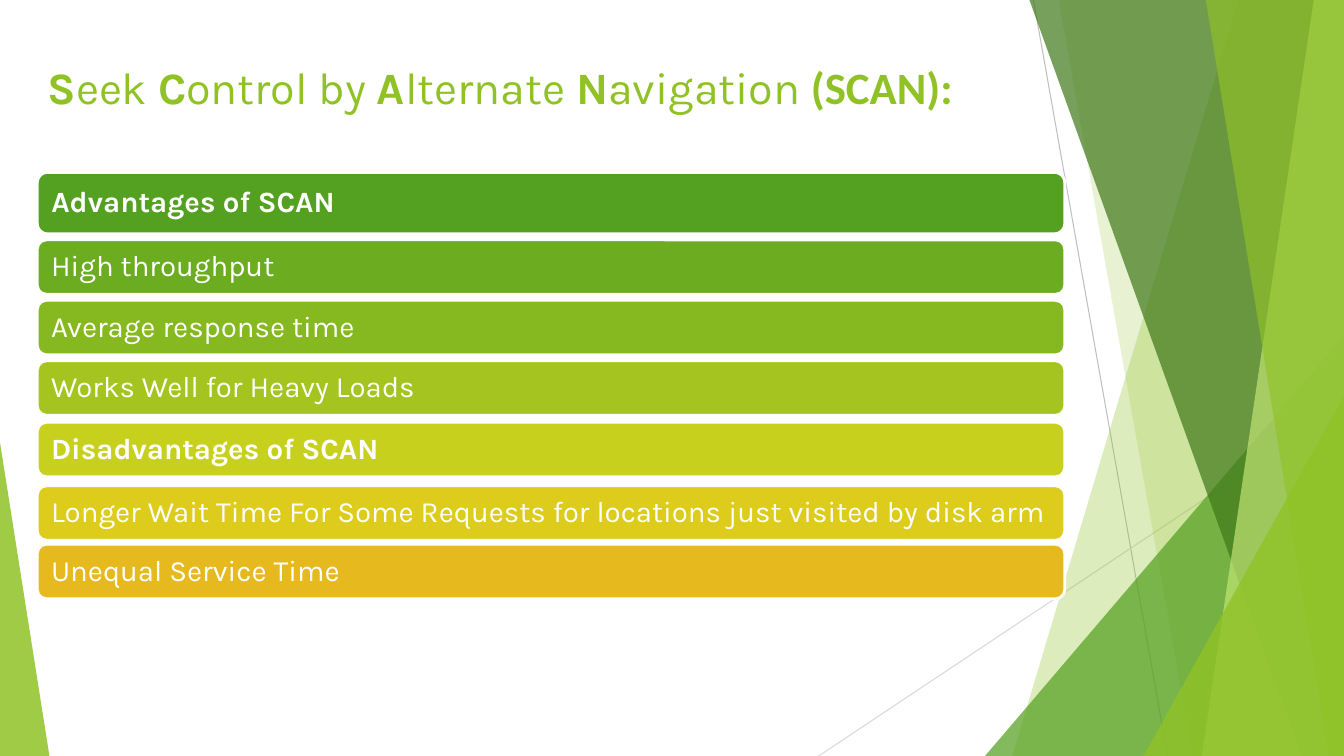
from dataclasses import dataclass

from lxml import etree
from pptx import Presentation
from pptx.dml.color import RGBColor
from pptx.enum.shapes import MSO_CONNECTOR, MSO_SHAPE
from pptx.enum.text import MSO_ANCHOR, MSO_AUTO_SIZE, PP_ALIGN
from pptx.oxml.ns import qn
from pptx.util import Inches, Pt

STRAIGHT = MSO_CONNECTOR.STRAIGHT
TRIANGLE = MSO_SHAPE.RIGHT_TRIANGLE
APEX_TRIANGLE = MSO_SHAPE.ISOSCELES_TRIANGLE
ROUNDED = MSO_SHAPE.ROUNDED_RECTANGLE
TOP, MIDDLE = MSO_ANCHOR.TOP, MSO_ANCHOR.MIDDLE
NO_FIT = MSO_AUTO_SIZE.NONE
LEFT = PP_ALIGN.LEFT


@dataclass(frozen=True)
class Theme:
    font: str = "Karla"
    accent_font: str = "Calibri"
    title_size: int = 32
    bar_size: int = 21
    white: str = "FFFFFF"
    lime: str = "90C226"
    green: str = "54A021"
    forest: str = "3F7819"
    pale: str = "C0E474"
    grey: str = "BFBFBF"
    light_grey: str = "D9D9D9"
    bars: tuple = ("54A021", "6BAC20", "86B820", "A5C41F",
                   "C7D01D", "DDCC1C", "E6B91E")


THEME = Theme()
WIDTH, HEIGHT = 13.33, 7.5

TITLE_SPANS = [
    ("S", True), ("eek ", False), ("C", True), ("ontrol by ", False),
    ("A", True), ("lternate ", False), ("N", True), ("avigation", False),
]
TITLE_ENDING = " (SCAN):"

BARS = [
    ("Advantages of SCAN", 0, 0.61, True),
    ("High throughput", 0.67, 0.54, False),
    ("Average response time", 1.27, 0.54, False),
    ("Works Well for Heavy Loads", 1.87, 0.54, False),
    ("Disadvantages of SCAN", 2.48, 0.54, True),
    ("Longer Wait Time For Some Requests for locations just visited by disk arm",
     3.11, 0.54, False),
    ("Unequal Service Time", 3.69, 0.54, False),
]


def paint(shape, color, opacity=100):
    shape.shadow.inherit = False
    shape.fill.solid()
    shape.fill.fore_color.rgb = RGBColor.from_string(color)
    if opacity < 100:
        value = shape.element.spPr.find(qn("a:solidFill"))[0]
        etree.SubElement(value, qn("a:alpha")).set("val", str(opacity * 1000))


def style_span(span, size, color, bold, font=THEME.font):
    span.font.name = font
    span.font.size = Pt(size)
    span.font.bold = bold
    span.font.color.rgb = RGBColor.from_string(color)


def add_hairline(page, start, end, color):
    line = page.shapes.add_connector(STRAIGHT, *map(Inches, start + end))
    line.line.color.rgb = RGBColor.from_string(color)
    line.line.width = Pt(0.75)
    etree.SubElement(line.element.spPr, qn("a:effectLst"))


def add_ribbon(page, box, top_x, bottom_x, color, opacity):
    left, top, width, height = box
    right, bottom = left + width, top + height
    corners = [(right, top), (right, bottom), (left + bottom_x, bottom)]
    builder = page.shapes.build_freeform(Inches(left + top_x), Inches(top))
    builder.add_line_segments([(Inches(x), Inches(y)) for x, y in corners])
    ribbon = builder.convert_to_shape()
    paint(ribbon, color, opacity)
    ribbon.line.fill.background()


def add_corner(page, box, width, height, apex, color, opacity):
    left, top, box_width, box_height = box
    x = left + apex * (box_width - width)
    y = top + box_height - height
    corner = page.shapes.add_shape(
        APEX_TRIANGLE, *map(Inches, (x, y, width, height)))
    corner.adjustments[0] = apex
    paint(corner, color, opacity)
    corner.line.fill.background()


def add_facets(page, box):
    left, top, width, height = box
    right, bottom = left + width, top + height
    add_hairline(page, (left + 10.25, top), (left + 11.58, bottom), THEME.grey)
    add_hairline(page, (right, top + 4.03), (left + 8.12, bottom),
                 THEME.light_grey)
    add_ribbon(page, box, 12.28, 10.04, THEME.lime, 30)
    add_ribbon(page, box, 10.5, 11.83, THEME.lime, 20)
    add_corner(page, box, 3.56, 4.17, 1, THEME.green, 72)
    add_ribbon(page, box, 10.21, 12.91, THEME.forest, 70)
    add_ribbon(page, box, 13.03, 11.92, THEME.pale, 70)
    add_ribbon(page, box, 11.96, 13.18, THEME.lime, 65)
    add_corner(page, box, 1.99, 3.57, 1, THEME.lime, 80)
    add_corner(page, box, 0.49, 3.11, 0, THEME.lime, 85)


def fill_title(page, box):
    title = page.shapes.title
    title.left, title.top, title.width, title.height = map(Inches, box)
    frame = title.text_frame
    frame.word_wrap = True
    frame.auto_size = NO_FIT
    frame.vertical_anchor = TOP
    para = frame.paragraphs[0]
    para.alignment = LEFT
    for text, bold in TITLE_SPANS:
        span = para.add_run()
        span.text = text
        style_span(span, THEME.title_size, THEME.lime, bold)
    ending = para.add_run()
    ending.text = TITLE_ENDING
    style_span(ending, THEME.title_size, THEME.lime, True, THEME.accent_font)


def add_bars(page, box):
    left, top, width, _ = box
    for (text, offset, height, bold), color in zip(BARS, THEME.bars):
        bar = page.shapes.add_shape(
            ROUNDED, *map(Inches, (left, top + offset, width, height)))
        paint(bar, color)
        bar.line.color.rgb = RGBColor.from_string(THEME.white)
        bar.line.width = Pt(2)
        frame = bar.text_frame
        frame.word_wrap = True
        frame.vertical_anchor = MIDDLE
        frame.margin_left = frame.margin_right = Inches(0.11)
        frame.text = text
        para = frame.paragraphs[0]
        para.alignment = LEFT
        para.line_spacing = 0.9
        style_span(para.runs[0], THEME.bar_size, THEME.white, bold)


def main():
    deck = Presentation()
    deck.slide_width, deck.slide_height = Inches(WIDTH), Inches(HEIGHT)
    page = deck.slides.add_slide(deck.slide_layouts[5])
    add_facets(page, (0, 0, WIDTH, HEIGHT))
    fill_title(page, (0.37, 0.54, 10, 1.37))
    add_bars(page, (0.37, 1.71, 10.19, 4.23))
    deck.save("out.pptx")


if __name__ == "__main__":
    main()
